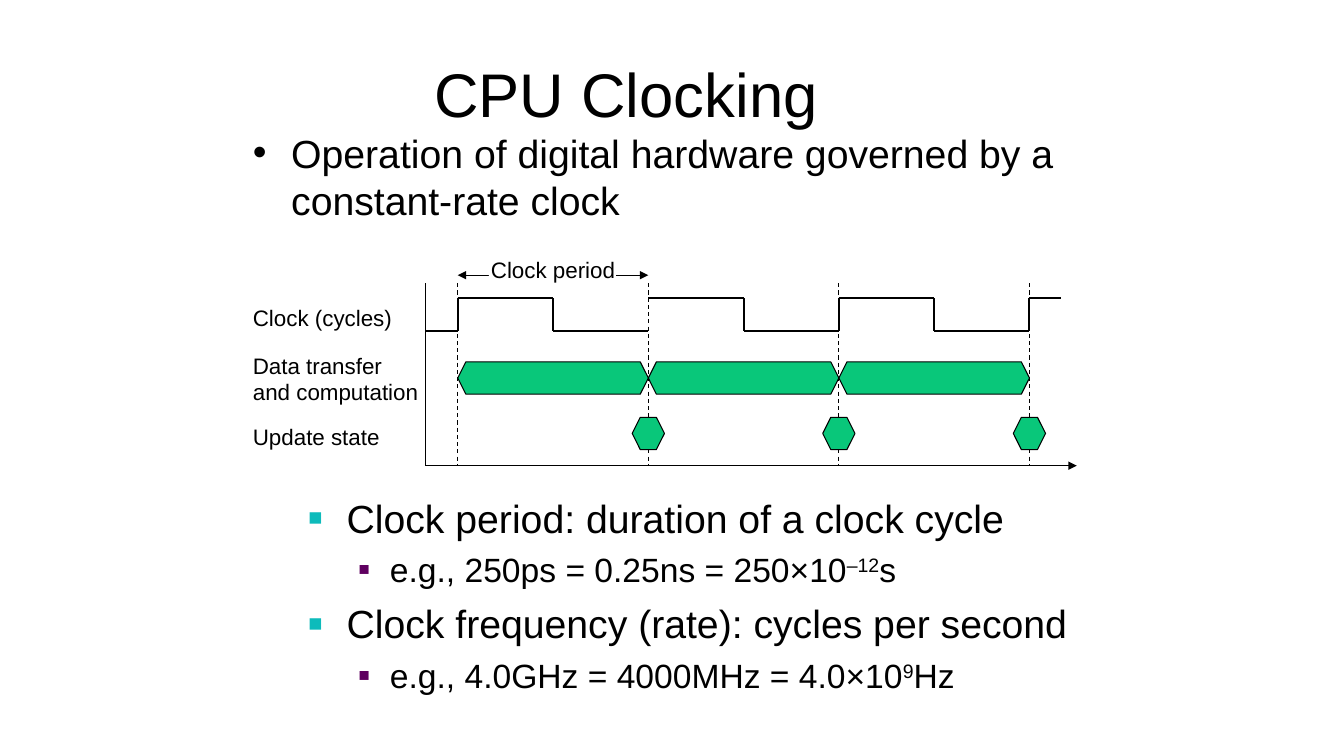
"""Build the CPU Clocking slide with its timing diagram and bullet lists."""
from dataclasses import dataclass
from typing import Optional

from lxml import etree
from pptx import Presentation
from pptx import util as u
from pptx.dml.color import RGBColor
from pptx.enum import dml, shapes, text
from pptx.oxml import ns


@dataclass(frozen=True)
class Theme:
    font: str = "Arial"
    ink: str = "000000"
    paper: str = "FFFFFF"
    stage: str = "09C77A"
    teal: str = "0DBBBB"
    purple: str = "5F0060"
    title: int = 44
    body: int = 28
    detail: int = 24
    label: int = 16
    thin: float = 0.75
    thick: float = 1.5


THEME = Theme()


@dataclass(frozen=True)
class Box:
    left: float
    top: float
    width: float
    height: float

    def lengths(self) -> tuple:
        return tuple(map(u.Inches, (self.left, self.top, self.width, self.height)))


@dataclass(frozen=True)
class Line:
    x1: float
    y1: float
    x2: float
    y2: float
    weight: float = THEME.thin
    dashed: bool = False
    head: bool = False
    tail: bool = False


@dataclass(frozen=True)
class Label:
    wording: str
    box: Box
    size: int = THEME.label
    centred: bool = False
    wrap: bool = False
    anchor: text.MSO_ANCHOR = text.MSO_ANCHOR.TOP


@dataclass(frozen=True)
class BulletStyle:
    character: str
    size: int
    margin: float
    hanging: float
    space_before: int
    level: int = 0
    colour: Optional[str] = None
    percent: int = 100


@dataclass(frozen=True)
class Bullet:
    style: BulletStyle
    wording: str
    raised: str = ""
    ending: str = ""


MAIN = BulletStyle("•", THEME.body, 0.38, 0.38, 7)
TOPIC = BulletStyle("■", THEME.body, 0.38, 0.38, 7, 0, THEME.teal, 60)
EXAMPLE = BulletStyle("■", THEME.detail, 0.81, 0.31, 6, 1, THEME.purple, 55)

PERIOD = 1.89
EDGES = [4.54 + PERIOD * index for index in range(4)]
AXIS_X, AXIS_TOP, AXIS_Y = 4.22, 2.81, 4.62
HIGH, LOW = 2.96, 3.28
STAGE_TOP, UPDATE_TOP, STAGE_HEIGHT = 3.59, 4.14, 0.32
UPDATE_WIDTH, POINT = 0.32, 0.08


def format_font(font, size: int) -> None:
    font.name = THEME.font
    font.size = u.Pt(size)
    font.color.rgb = RGBColor.from_string(THEME.ink)


def draw_line(slide, line: Line) -> None:
    ends = map(u.Inches, (line.x1, line.y1, line.x2, line.y2))
    connector = slide.shapes.add_connector(shapes.MSO_CONNECTOR.STRAIGHT, *ends)
    connector.line.color.rgb = RGBColor.from_string(THEME.ink)
    connector.line.width = u.Pt(line.weight)
    if line.dashed:
        connector.line.dash_style = dml.MSO_LINE.DASH
    outline = connector.line._get_or_add_ln()
    for tag, wanted in (("a:headEnd", line.head), ("a:tailEnd", line.tail)):
        if wanted:
            etree.SubElement(outline, ns.qn(tag), type="triangle")
    etree.SubElement(connector._element.spPr, ns.qn("a:effectLst"))


def draw_hexagon(slide, box: Box) -> None:
    right, middle = box.left + box.width, box.top + box.height / 2
    bottom = box.top + box.height
    corners = [
        (box.left + POINT, box.top), (right - POINT, box.top), (right, middle),
        (right - POINT, bottom), (box.left + POINT, bottom),
    ]
    builder = slide.shapes.build_freeform(u.Inches(box.left), u.Inches(middle))
    builder.add_line_segments([(u.Inches(x), u.Inches(y)) for x, y in corners])
    shape = builder.convert_to_shape()
    shape.shadow.inherit = False
    shape.fill.solid()
    shape.fill.fore_color.rgb = RGBColor.from_string(THEME.stage)
    shape.line.color.rgb = RGBColor.from_string(THEME.ink)
    shape.line.width = u.Pt(THEME.thin)


def draw_label(slide, label: Label) -> None:
    frame = slide.shapes.add_textbox(*label.box.lengths()).text_frame
    frame.word_wrap = label.wrap
    frame.vertical_anchor = label.anchor
    paragraph = frame.paragraphs[0]
    paragraph.text = label.wording
    if label.centred:
        paragraph.alignment = text.PP_ALIGN.CENTER
    for run in paragraph.runs:
        format_font(run.font, label.size)


def add_bullet(paragraph, style: BulletStyle) -> None:
    properties = paragraph._p.get_or_add_pPr()
    properties.set("marL", str(u.Inches(style.margin)))
    properties.set("indent", str(-u.Inches(style.hanging)))
    if style.colour:
        colour = etree.SubElement(properties, ns.qn("a:buClr"))
        etree.SubElement(colour, ns.qn("a:srgbClr"), val=style.colour)
    etree.SubElement(properties, ns.qn("a:buSzPct"), val=str(style.percent * 1000))
    etree.SubElement(properties, ns.qn("a:buFont"), typeface=THEME.font)
    etree.SubElement(properties, ns.qn("a:buChar"), char=style.character)


def draw_bullets(slide, box: Box, bullets: list[Bullet]) -> None:
    frame = slide.shapes.add_textbox(*box.lengths()).text_frame
    frame.word_wrap = True
    for index, bullet in enumerate(bullets):
        paragraph = frame.add_paragraph() if index else frame.paragraphs[0]
        add_bullet(paragraph, bullet.style)
        paragraph.level = bullet.style.level
        if index:
            paragraph.space_before = u.Pt(bullet.style.space_before)
        for wording in filter(None, (bullet.wording, bullet.raised, bullet.ending)):
            run = paragraph.add_run()
            run.text = wording
            format_font(run.font, bullet.style.size)
            if wording == bullet.raised:
                run._r.get_or_add_rPr().set("baseline", "30000")


def draw_clock(slide) -> None:
    segments = [(AXIS_X, LOW, EDGES[0], LOW), (EDGES[-1], HIGH, EDGES[-1] + 0.31, HIGH)]
    for edge in EDGES[:-1]:
        fall = edge + PERIOD / 2
        segments += [(edge, HIGH, fall, HIGH), (fall, HIGH, fall, LOW),
                     (fall, LOW, edge + PERIOD, LOW)]
    segments += [(EDGES[index], HIGH, EDGES[index], LOW) for index in (0, 2, 3)]
    for segment in segments:
        draw_line(slide, Line(*segment, weight=THEME.thick))


def draw_diagram(slide) -> None:
    draw_line(slide, Line(EDGES[0], 2.73, EDGES[1], 2.73, head=True, tail=True))
    for edge in EDGES:
        draw_line(slide, Line(edge, AXIS_TOP, edge, AXIS_Y, dashed=True))
    draw_clock(slide)
    draw_line(slide, Line(AXIS_X, AXIS_Y, 10.68, AXIS_Y, tail=True))
    draw_line(slide, Line(AXIS_X, AXIS_Y, AXIS_X, AXIS_TOP))
    for start, end in zip(EDGES, EDGES[1:]):
        draw_hexagon(slide, Box(start, STAGE_TOP, PERIOD, STAGE_HEIGHT))
        draw_hexagon(slide, Box(end - UPDATE_WIDTH / 2, UPDATE_TOP, UPDATE_WIDTH, STAGE_HEIGHT))
    gap = slide.shapes.add_shape(shapes.MSO_SHAPE.RECTANGLE, *Box(4.85, 2.65, 1.26, 0.16).lengths())
    gap.shadow.inherit = False
    gap.fill.solid()
    gap.fill.fore_color.rgb = RGBColor.from_string(THEME.paper)
    gap.line.fill.background()
    for label in (
        Label("Clock (cycles)", Box(2.41, 2.97, 1.58, 0.37)),
        Label("Data transfer\nand computation", Box(2.41, 3.44, 1.84, 0.64)),
        Label("Update state", Box(2.41, 4.15, 1.46, 0.37)),
        Label("Clock period", Box(4.77, 2.49, 1.43, 0.37), centred=True),
    ):
        draw_label(slide, label)


def main() -> None:
    presentation = Presentation()
    presentation.slide_width, presentation.slide_height = u.Inches(13.33), u.Inches(7.5)
    slide = presentation.slides.add_slide(presentation.slide_layouts[6])
    draw_label(slide, Label("CPU Clocking", Box(0.67, 0.3, 11.08, 1.25), THEME.title,
                            True, True, text.MSO_ANCHOR.MIDDLE))
    draw_bullets(slide, Box(2.41, 1.23, 9.05, 1.34), [
        Bullet(MAIN, "Operation of digital hardware governed by a constant-rate clock")])
    draw_diagram(slide)
    draw_bullets(slide, Box(2.96, 4.85, 8.5, 2.13), [
        Bullet(TOPIC, "Clock period: duration of a clock cycle"),
        Bullet(EXAMPLE, "e.g., 250ps = 0.25ns = 250×10", "–12", "s"),
        Bullet(TOPIC, "Clock frequency (rate): cycles per second"),
        Bullet(EXAMPLE, "e.g., 4.0GHz = 4000MHz = 4.0×10", "9", "Hz"),
    ])
    presentation.save("out.pptx")


if __name__ == "__main__":
    main()
